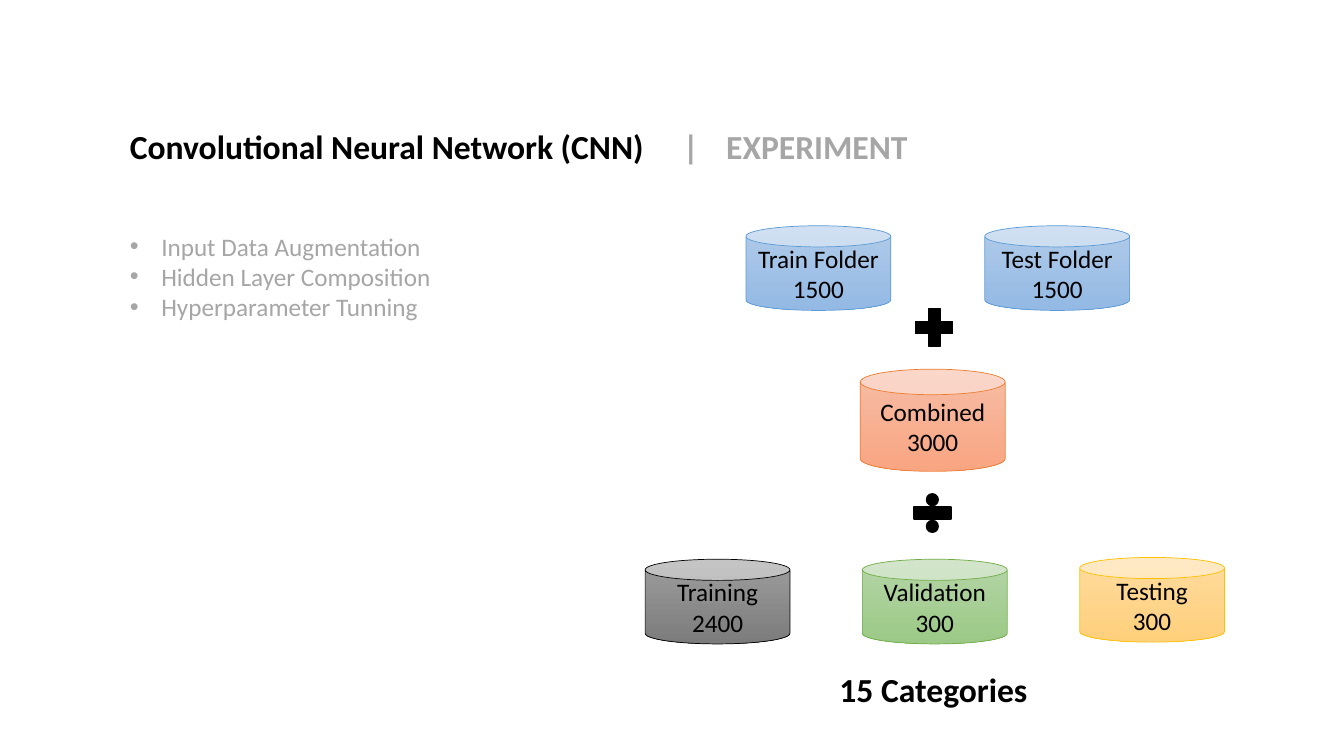
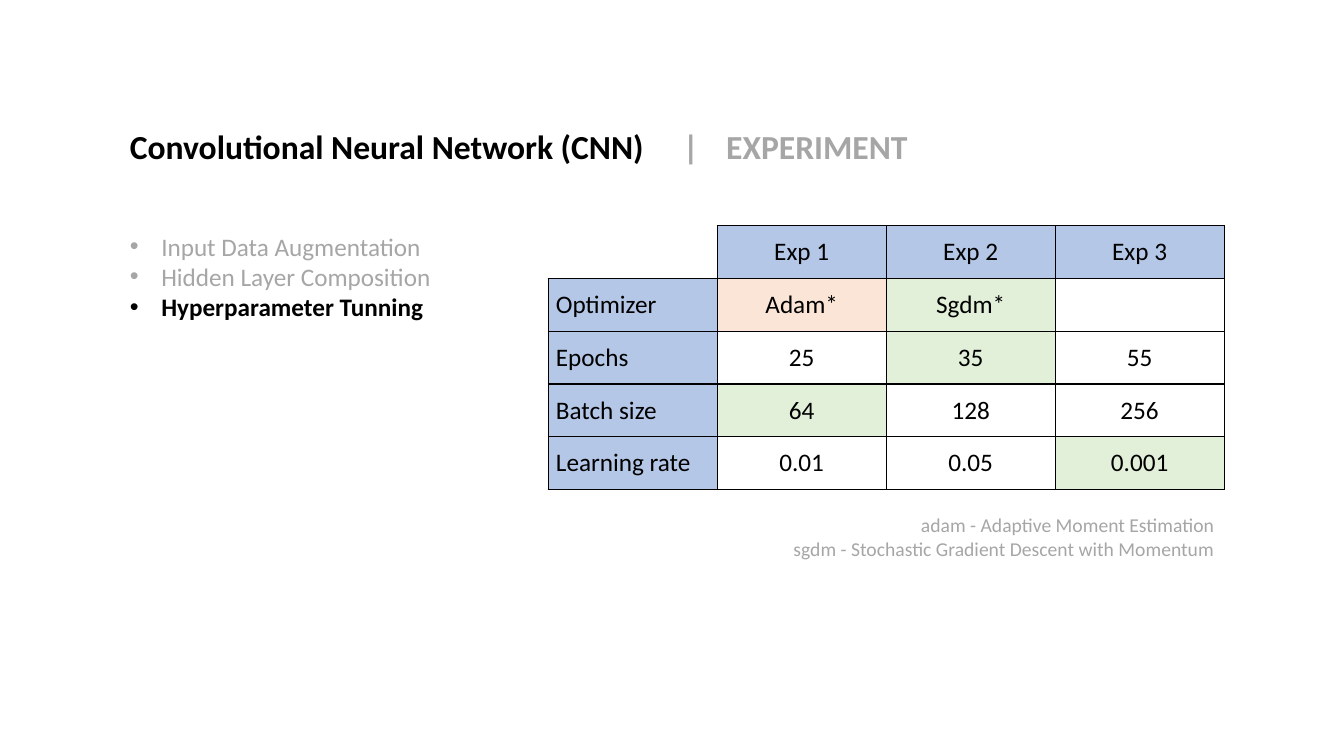
from lxml import etree
from pptx import Presentation
from pptx.dml.color import RGBColor
from pptx.enum import shapes, text
from pptx.oxml import ns
from pptx.util import Pt

# Shared style
FONT = "Calibri"
BLACK, GREY = "000000", "A6A6A6"
BLUE, GREEN, PEACH = "B4C7E7", "E2F0D9", "FBE5D6"
LEFT, CENTER, RIGHT = text.PP_ALIGN.LEFT, text.PP_ALIGN.CENTER, text.PP_ALIGN.RIGHT

# Content
TITLE = ("Convolutional Neural Network (CNN)", "\t|\tEXPERIMENT")
TITLE_TABS = (395, 426)
TOPICS = ["Input Data Augmentation", "Hidden Layer Composition", "Hyperparameter Tunning"]

CAN_WIDTH = 103.5
SPLIT_LEFT, SPLIT_STEP = 460.8, 155.2
SKY = ("B1CBE9", "93B9E4", "5B9BD5")
# label, left, top, height, (gradient start, gradient end, line)
DATA_SETS = [
    ("Train Folder\n1500", 532.8, 161.3, 60.5, SKY),
    ("Test Folder\n1500", 703.4, 161.3, 60.5, SKY),
    ("Combined\n3000", 614.5, 263.7, 73, ("F7BDA5", "F8A582", "ED7D31")),
    ("Training\n2400", SPLIT_LEFT, 399.5, 60.5, ("9D9D9D", "7C7C7C", BLACK)),
    ("Validation\n300", SPLIT_LEFT + SPLIT_STEP, 399.5, 60.5, ("B5D5A7", "9CC987", "70AD47")),
    ("Testing\n300", SPLIT_LEFT + 2 * SPLIT_STEP, 398.2, 60.5, ("FFDB9E", "FFD07C", "FFC000")),
]
OPERATORS = [
    (shapes.MSO_SHAPE.MATH_PLUS, 649.4, 216),
    (shapes.MSO_SHAPE.MATH_DIVIDE, 648, 348.5),
]
OPERATOR_SIZE = 36

EXPERIMENTS = [
    ["", "Exp 1", "Exp 2", "Exp 3"],
    ["Optimizer", "Adam*", "Sgdm*", ""],
    ["Epochs", "25", "35", "55"],
    ["Batch size", "64", "128", "256"],
    ["Learning rate", "0.01", "0.05", "0.001"],
]
HIGHLIGHTS = {(1, 1): PEACH, (1, 2): GREEN, (2, 2): GREEN, (3, 1): GREEN, (4, 3): GREEN}
COLUMN_WIDTH, ROW_HEIGHT = 120.7, 37.7
FOOTNOTES = ["adam - Adaptive Moment Estimation",
             "sgdm - Stochastic Gradient Descent with Momentum"]


def rgb(color):
    return RGBColor.from_string(color)


def add_xml(parent, tag, **attributes):
    return etree.SubElement(parent, ns.qn(tag), attributes)


def style(paragraph, size, color=None, bold=False, align=LEFT):
    paragraph.alignment = align
    font = paragraph.font
    font.name, font.size, font.bold = FONT, Pt(size), bold
    if color:
        font.color.rgb = rgb(color)


def place(shape, *box):
    shape.left, shape.top, shape.width, shape.height = map(Pt, box)


def add_lines(slide, box, lines, size, color, bold, align):
    frame = slide.shapes.add_textbox(*map(Pt, box)).text_frame
    frame.word_wrap = True
    frame.text = "\n".join(lines)
    for paragraph in frame.paragraphs:
        style(paragraph, size, color, bold, align)


def add_base_slide(prs, current=None):
    """Slide with the shared title and the topic list, one topic emphasised."""
    slide = prs.slides.add_slide(prs.slide_layouts[1])

    # Title
    title = slide.shapes.title
    place(title, 85.5, 86.4, 640, 36)
    title.text_frame.auto_size = text.MSO_AUTO_SIZE.NONE
    heading = title.text_frame.paragraphs[0]
    tabs = add_xml(heading._p.get_or_add_pPr(), "a:tabLst")
    for position in TITLE_TABS:
        add_xml(tabs, "a:tab", pos=str(Pt(position)), algn="l")
    style(heading, 24, bold=True)
    for part, color in zip(TITLE, (BLACK, GREY)):
        run = heading.add_run()
        run.text = part
        run.font.color.rgb = rgb(color)

    # Topic list
    topics = slide.placeholders[1]
    place(topics, 85.5, 161.3, 306, 73)
    topics.text_frame.auto_size = text.MSO_AUTO_SIZE.NONE
    topics.text_frame.text = "\n".join(TOPICS)
    for topic, paragraph in zip(TOPICS, topics.text_frame.paragraphs):
        paragraph.space_before = Pt(0)
        properties = paragraph._p.get_or_add_pPr()
        properties.set("marL", str(Pt(22.5)))
        properties.set("indent", str(Pt(-22.5)))
        add_xml(properties, "a:buFont", typeface="Arial")
        add_xml(properties, "a:buChar", char="•")
        active = topic == current
        style(paragraph, 18, BLACK if active else GREY, active)
    return slide


def add_can(slide, label, left, top, height, colors):
    can = slide.shapes.add_shape(shapes.MSO_SHAPE.CAN, Pt(left), Pt(top), Pt(CAN_WIDTH), Pt(height))
    can.shadow.inherit = False
    can.fill.gradient()
    can.fill.gradient_angle = 270
    for stop, color in zip(can.fill.gradient_stops, colors):
        stop.color.rgb = rgb(color)
    can.line.color.rgb = rgb(colors[-1])
    can.line.width = Pt(0.5)
    can.text_frame.vertical_anchor = text.MSO_ANCHOR.MIDDLE
    paragraph = can.text_frame.paragraphs[0]
    paragraph.text = label
    style(paragraph, 18, BLACK, align=CENTER)


def add_operator(slide, kind, left, top):
    sign = slide.shapes.add_shape(kind, Pt(left), Pt(top), Pt(OPERATOR_SIZE), Pt(OPERATOR_SIZE))
    sign.shadow.inherit = False
    sign.fill.solid()
    sign.fill.fore_color.rgb = rgb(BLACK)
    sign.line.color.rgb = rgb(BLACK)
    sign.line.width = Pt(1)


def add_borders(cell, sides):
    for side in sides:
        line = add_xml(cell._tc.get_or_add_tcPr(), "a:ln" + side, w=str(Pt(1)))
        add_xml(add_xml(line, "a:solidFill"), "a:srgbClr", val=BLACK)


def add_experiments(slide):
    rows, columns = len(EXPERIMENTS), len(EXPERIMENTS[0])
    table = slide.shapes.add_table(rows, columns, Pt(391.6), Pt(161.3), Pt(columns * COLUMN_WIDTH),
                                   Pt(rows * ROW_HEIGHT)).table
    table.first_row = table.horz_banding = False
    for column in table.columns:
        column.width = Pt(COLUMN_WIDTH)
    for r, values in enumerate(EXPERIMENTS):
        table.rows[r].height = Pt(ROW_HEIGHT)
        for c, value in enumerate(values):
            cell = table.cell(r, c)
            corner = r == c == 0
            header = (r == 0 or c == 0) and not corner
            add_borders(cell, "RB" if corner else "LRTB")
            fill = BLUE if header else HIGHLIGHTS.get((r, c))
            if fill:
                cell.fill.solid()
                cell.fill.fore_color.rgb = rgb(fill)
            else:
                cell.fill.background()
            cell.margin_left = cell.margin_right = Pt(5.5)
            cell.margin_top = cell.margin_bottom = Pt(3)
            cell.vertical_anchor = text.MSO_ANCHOR.MIDDLE
            cell.text = value
            style(cell.text_frame.paragraphs[0], 18, BLACK, align=CENTER if c else LEFT)


def main():
    prs = Presentation()
    prs.slide_width, prs.slide_height = Pt(960), Pt(540)

    # Data split
    split = add_base_slide(prs)
    add_lines(split, (576.8, 474.5, 180, 36), ["15 Categories"], 24, BLACK, True, CENTER)
    for data_set in DATA_SETS:
        add_can(split, *data_set)
    for operator in OPERATORS:
        add_operator(split, *operator)

    # Hyperparameters
    tuning = add_base_slide(prs, TOPICS[2])
    add_experiments(tuning)
    add_lines(tuning, (540, 363, 334.5, 41), FOOTNOTES, 14, GREY, False, RIGHT)

    prs.save("out.pptx")


if __name__ == "__main__":
    main()
